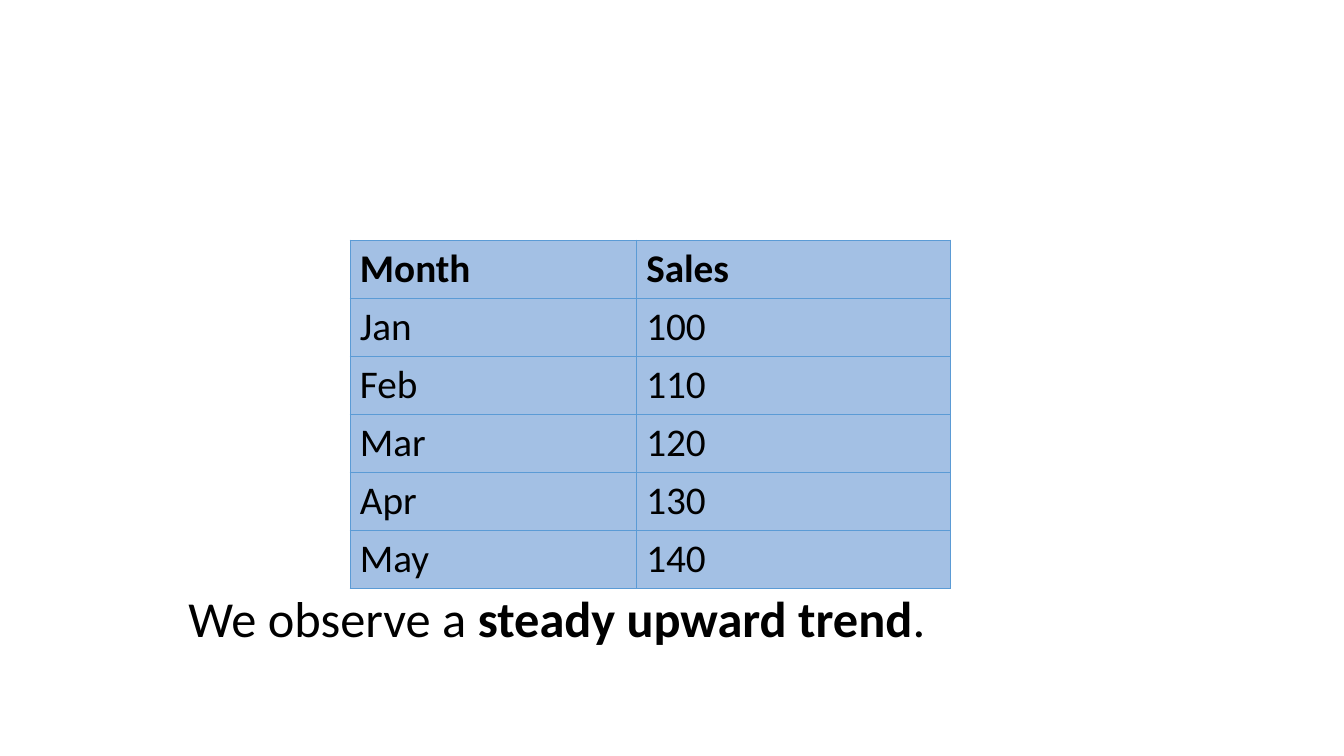
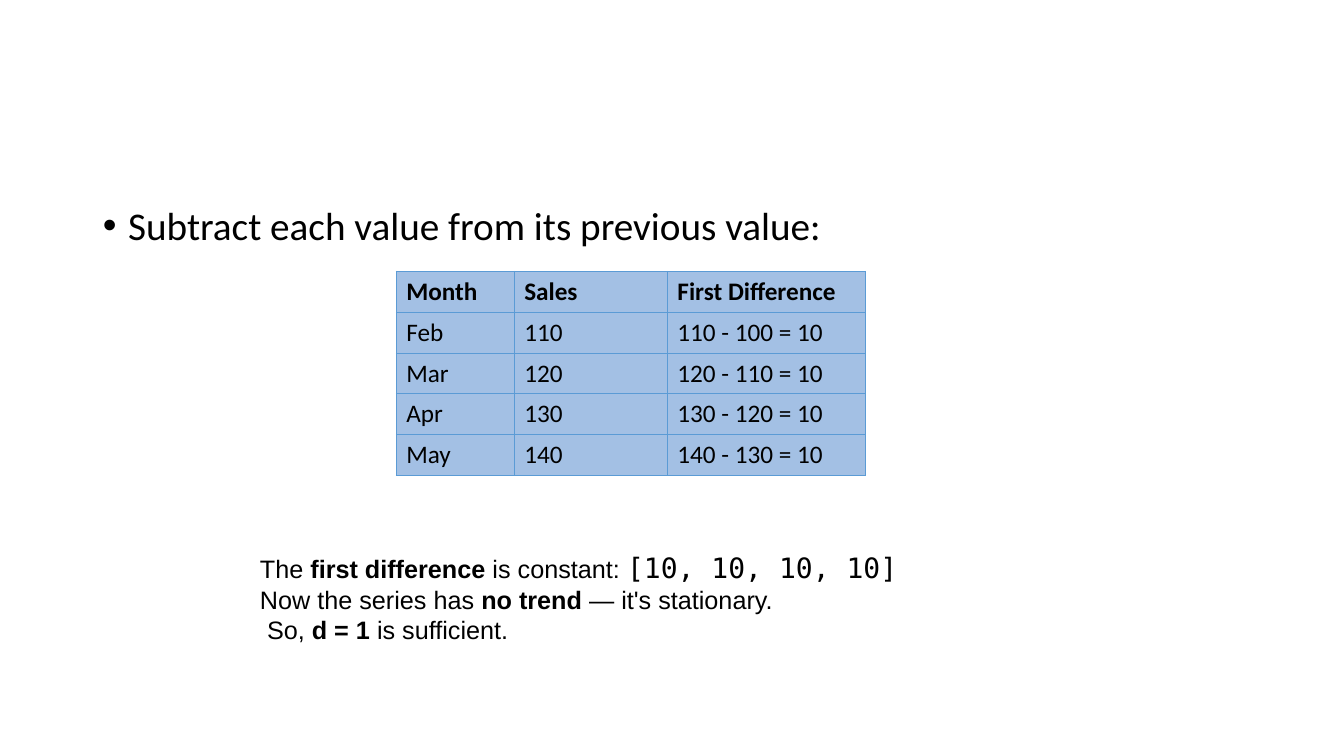
from dataclasses import dataclass
from typing import Any

from lxml.etree import SubElement
from pptx import Presentation
from pptx.dml.color import RGBColor
from pptx.enum.text import MSO_ANCHOR, MSO_AUTO_SIZE
from pptx.oxml.ns import qn
from pptx.slide import Slide
from pptx.util import Inches, Pt


@dataclass(frozen=True)
class Theme:
    text: str = "000000"
    cell: str = "A3C0E4"
    border: str = "5B9BD5"
    border_width: float = 0.5
    font: str = "Calibri"
    note_font: str = "Arial"
    code_font: str = "DejaVu Sans Mono"
    statement: float = 36
    body: float = 28
    code: float = 20
    note: float = 18


@dataclass(frozen=True)
class Run:
    text: str
    size: float
    font: str
    bold: bool = False


@dataclass(frozen=True)
class Line:
    runs: list[Run]
    indent: float = 0


@dataclass(frozen=True)
class Box:
    left: float
    top: float
    width: float
    height: float

    def lengths(self) -> list[int]:
        return [Inches(v) for v in (self.left, self.top, self.width, self.height)]


@dataclass(frozen=True)
class SalesTable:
    left: float
    top: float
    column_widths: list[float]
    row_height: float
    size: float
    rows: list[list[str]]


THEME = Theme()
SALES = {"Jan": 100, "Feb": 110, "Mar": 120, "Apr": 130, "May": 140}


def apply_format(target: Any, values: dict[str, Any]) -> None:
    for attribute, value in values.items():
        setattr(target, attribute, value)


def add_run(paragraph: Any, run: Run) -> None:
    text_run = paragraph.add_run()
    text_run.text = run.text
    apply_format(text_run.font, {"size": Pt(run.size), "name": run.font, "bold": run.bold})
    text_run.font.color.rgb = RGBColor.from_string(THEME.text)


def set_indent(paragraph: Any, left: float, first: float = 0) -> Any:
    properties = paragraph._p.get_or_add_pPr()
    properties.set("marL", str(Inches(left)))
    properties.set("indent", str(Inches(first)))
    return properties


def add_text(slide: Slide, box: Box, lines: list[Line], anchor: MSO_ANCHOR) -> None:
    frame = slide.shapes.add_textbox(*box.lengths()).text_frame
    apply_format(frame, {"word_wrap": True, "vertical_anchor": anchor,
                         "auto_size": MSO_AUTO_SIZE.SHAPE_TO_FIT_TEXT})
    for index, line in enumerate(lines):
        paragraph = frame.add_paragraph() if index else frame.paragraphs[0]
        if line.indent:
            set_indent(paragraph, line.indent)
        for run in line.runs:
            add_run(paragraph, run)


def style_cell(cell: Any) -> None:
    cell.vertical_anchor = MSO_ANCHOR.MIDDLE
    properties = cell._tc.get_or_add_tcPr()
    for side in ("a:lnL", "a:lnR", "a:lnT", "a:lnB"):
        border = SubElement(properties, qn(side), w=str(Pt(THEME.border_width)))
        fill = SubElement(border, qn("a:solidFill"))
        SubElement(fill, qn("a:srgbClr"), val=THEME.border)
    cell.fill.solid()
    cell.fill.fore_color.rgb = RGBColor.from_string(THEME.cell)


def add_sales_table(slide: Slide, content: SalesTable) -> None:
    box = Box(content.left, content.top, sum(content.column_widths),
              content.row_height * len(content.rows))
    table = slide.shapes.add_table(
        len(content.rows), len(content.column_widths), *box.lengths()).table
    apply_format(table, {"first_row": False, "horz_banding": False})
    for column, width in zip(table.columns, content.column_widths):
        column.width = Inches(width)
    for row_index, values in enumerate(content.rows):
        table.rows[row_index].height = Inches(content.row_height)
        for column_index, value in enumerate(values):
            cell = table.cell(row_index, column_index)
            style_cell(cell)
            add_run(cell.text_frame.paragraphs[0],
                    Run(value, content.size, THEME.font, bold=row_index == 0))


def fill_body(slide: Slide, box: Box, text: str) -> None:
    body = slide.placeholders[1]
    apply_format(body, dict(zip(("left", "top", "width", "height"), box.lengths())))
    body.text_frame.vertical_anchor = MSO_ANCHOR.TOP
    paragraph = body.text_frame.paragraphs[0]
    apply_format(paragraph, {"line_spacing": 0.9, "space_before": Pt(10)})
    properties = set_indent(paragraph, 0.25, -0.25)
    SubElement(properties, qn("a:buFont"), typeface=THEME.note_font)
    SubElement(properties, qn("a:buChar"), char="•")
    add_run(paragraph, Run(text, THEME.body, THEME.font))


def build_trend_slide(slide: Slide) -> None:
    # Monthly sales
    rows = [["Month", "Sales"]] + [[month, str(sales)] for month, sales in SALES.items()]
    add_sales_table(slide, SalesTable(3.47, 2.38, [2.84, 3.12], 0.57, THEME.body, rows))

    # Observation
    style = (THEME.statement, THEME.font)
    observation = Line([Run("We observe a ", *style),
                        Run("steady upward trend", *style, bold=True),
                        Run(".", *style)], indent=0.68)
    add_text(slide, Box(1.09, 5.78, 9, 0.71), [observation], MSO_ANCHOR.TOP)


def build_difference_slide(slide: Slide) -> None:
    # Instruction; this slide has no title
    title = slide.shapes.title.element
    title.getparent().remove(title)
    fill_body(slide, Box(0.92, 2, 11.5, 4.76), "Subtract each value from its previous value:")

    # First differences
    months, sales = list(SALES), list(SALES.values())
    rows = [["Month", "Sales", "First Difference"]]
    for month, previous, current in zip(months[1:], sales, sales[1:]):
        rows.append([month, str(current), f"{current} - {previous} = {current - previous}"])
    add_sales_table(slide, SalesTable(3.93, 2.69, [1.17, 1.52, 1.96], 0.4, THEME.note, rows))

    # Conclusion
    style = (THEME.note, THEME.note_font)
    conclusion = [
        Line([Run("The ", *style), Run("first difference", *style, bold=True),
              Run(" is constant: ", *style),
              Run("[10, 10, 10, 10]", THEME.code, THEME.code_font)]),
        Line([Run("Now the series has ", *style), Run("no trend", *style, bold=True),
              Run(" — it's stationary.", *style)]),
        Line([Run("So, ", *style), Run("d = 1", *style, bold=True),
              Run(" is sufficient.", *style)], indent=0.07),
    ]
    add_text(slide, Box(2.48, 5.41, 8.49, 1.04), conclusion, MSO_ANCHOR.MIDDLE)


def main() -> None:
    presentation = Presentation()
    apply_format(presentation, {"slide_width": Inches(13.33), "slide_height": Inches(7.5)})
    layouts = presentation.slide_layouts
    build_trend_slide(presentation.slides.add_slide(layouts.get_by_name("Blank")))
    build_difference_slide(
        presentation.slides.add_slide(layouts.get_by_name("Title and Content")))
    presentation.save("out.pptx")


if __name__ == "__main__":
    main()
